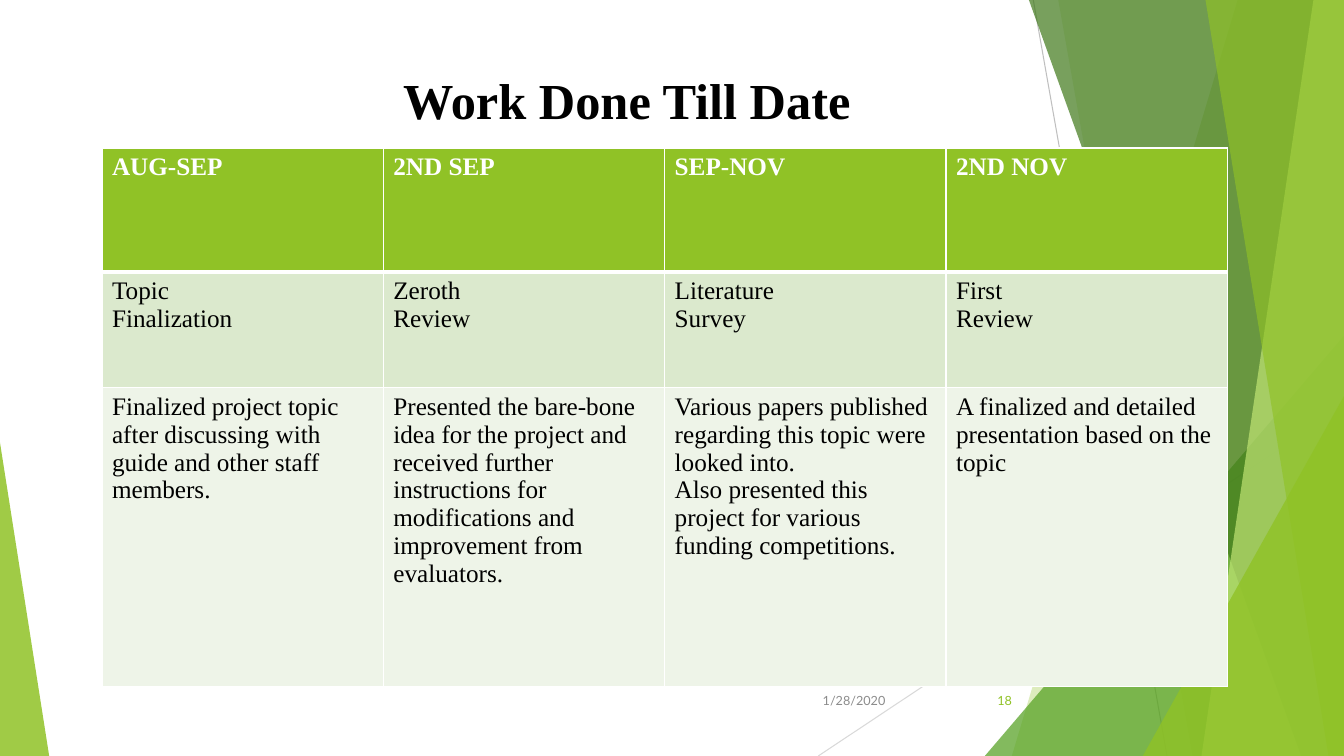
from lxml.etree import SubElement
from pptx import Presentation
from pptx.dml.color import RGBColor
from pptx.enum.shapes import MSO_CONNECTOR, MSO_SHAPE
from pptx.enum.text import MSO_ANCHOR, MSO_AUTO_SIZE, PP_ALIGN
from pptx.oxml import parse_xml
from pptx.oxml.ns import nsdecls, qn
from pptx.util import Cm, Pt

WHITE = RGBColor(0xFF, 0xFF, 0xFF)
BLACK = RGBColor(0x00, 0x00, 0x00)
GREY = RGBColor(0x8C, 0x8C, 0x8C)
MID_GREY = RGBColor(0xBF, 0xBF, 0xBF)
LIGHT_GREY = RGBColor(0xD9, 0xD9, 0xD9)
LIME = RGBColor(0x90, 0xC2, 0x26)
GREEN = RGBColor(0x54, 0xA0, 0x21)
DARK_GREEN = RGBColor(0x3F, 0x78, 0x19)
PALE_LIME = RGBColor(0xC0, 0xE4, 0x74)
BAND_DARK = RGBColor(0xDB, 0xE9, 0xCD)
BAND_LIGHT = RGBColor(0xEE, 0xF4, 0xE8)

WIDTH, HEIGHT = 33.87, 19.05
SERIF = "Times New Roman"
SANS = "Lato"

TABLE_TOP = 3.73
COLUMN_WIDTH = 7.09
ROW_HEIGHTS = [3.12, 2.92, 7.52]
TABLE_BOTTOM = TABLE_TOP + sum(ROW_HEIGHTS)
ROW_FILLS = [LIME, BAND_DARK, BAND_LIGHT]
WORK = [
    ["AUG-SEP", "2ND SEP", "SEP-NOV", "2ND NOV"],
    ["Topic\nFinalization", "Zeroth\nReview", "Literature\nSurvey", "First\nReview"],
    [
        "Finalized project topic after discussing with guide and other staff members.",
        "Presented the bare-bone idea for the project and received further "
        "instructions for modifications and improvement from evaluators.",
        "Various papers published regarding this topic were looked into.\n"
        "Also presented this project for various funding competitions.",
        "A finalized and detailed presentation based on the topic",
    ],
]


def paint(shape, color, opacity):
    """Fill a shape with a see-through colour and no outline."""
    shape.shadow.inherit = False
    shape.line.fill.background()
    shape.fill.solid()
    shape.fill.fore_color.rgb = color
    tint = shape.fill._xPr.find(qn("a:solidFill"))[0]
    SubElement(tint, qn("a:alpha")).set("val", str(opacity * 1000))


def add_facet(page, top_x, bottom_x, color, opacity):
    """Full-height band from a slanted left edge to the slide's right edge."""
    builder = page.shapes.build_freeform(Cm(top_x), 0)
    builder.add_line_segments(
        [(Cm(WIDTH), 0), (Cm(WIDTH), Cm(HEIGHT)), (Cm(bottom_x), Cm(HEIGHT))]
    )
    paint(builder.convert_to_shape(), color, opacity)


def add_corner(page, left, right, top, apex, color, opacity):
    """Triangle standing on the slide's bottom edge."""
    corner = page.shapes.add_shape(
        MSO_SHAPE.ISOSCELES_TRIANGLE,
        Cm(left), Cm(top), Cm(right - left), Cm(HEIGHT - top),
    )
    corner.adjustments[0] = apex
    paint(corner, color, opacity)


def add_hairline(page, start, end, color):
    line = page.shapes.add_connector(
        MSO_CONNECTOR.STRAIGHT, *[Cm(value) for value in start + end]
    )
    line.line.color.rgb = color
    line.line.width = Pt(0.75)
    SubElement(line._element.spPr, qn("a:effectLst"))


def format_text(frame, font_name, size, color, bold=False, align=PP_ALIGN.LEFT):
    for para in frame.paragraphs:
        para.alignment = align
        for span in para.runs:
            span.font.name = font_name
            span.font.size = Pt(size)
            span.font.bold = bold
            span.font.color.rgb = color


def add_footer(page, text, left, width, color):
    box = page.shapes.add_textbox(Cm(left), Cm(TABLE_BOTTOM), Cm(width), Cm(0.7))
    frame = box.text_frame
    frame.word_wrap = True
    frame.vertical_anchor = MSO_ANCHOR.MIDDLE
    frame.text = text
    format_text(frame, SANS, 9, color, align=PP_ALIGN.RIGHT)


def set_borders(cell, top, bottom):
    """White borders; top and bottom widths in points, sides one point."""
    widths = {"lnL": 1, "lnR": 1, "lnT": top, "lnB": bottom}
    properties = cell._tc.get_or_add_tcPr()
    for index, (side, width) in enumerate(widths.items()):
        properties.insert(index, parse_xml(
            f'<a:{side} {nsdecls("a")} w="{Pt(width)}"><a:solidFill>'
            f'<a:srgbClr val="{WHITE}"/></a:solidFill></a:{side}>'
        ))


def add_work_table(page):
    table = page.shapes.add_table(
        len(WORK), len(WORK[0]), Cm(2.57), Cm(TABLE_TOP),
        Cm(COLUMN_WIDTH * len(WORK[0])), Cm(sum(ROW_HEIGHTS)),
    ).table
    for column in table.columns:
        column.width = Cm(COLUMN_WIDTH)
    for row, texts in enumerate(WORK):
        table.rows[row].height = Cm(ROW_HEIGHTS[row])
        header = row == 0
        for column, text in enumerate(texts):
            cell = table.cell(row, column)
            cell.fill.solid()
            cell.fill.fore_color.rgb = ROW_FILLS[row]
            cell.text_frame.text = text
            format_text(cell.text_frame, SERIF, 18, WHITE if header else BLACK, header)
            set_borders(cell, 3 if row == 1 else 1, 3 if header else 1)


def set_title(page, text):
    title = page.shapes.title
    title.left, title.top, title.width, title.height = Cm(2.39), Cm(1.6), Cm(26.82), Cm(1.8)
    frame = title.text_frame
    frame.text = text
    frame.word_wrap = True
    frame.auto_size = MSO_AUTO_SIZE.NONE
    frame.vertical_anchor = MSO_ANCHOR.MIDDLE
    format_text(frame, SERIF, 36, BLACK, True, PP_ALIGN.CENTER)


def add_decoration(page):
    add_hairline(page, (26.04, 0), (29.41, HEIGHT), MID_GREY)
    add_hairline(page, (WIDTH, 10.24), (20.62, HEIGHT), LIGHT_GREY)
    add_facet(page, 31.19, 25.5, LIME, 30)
    add_facet(page, 26.67, 30.05, LIME, 20)
    add_corner(page, 24.82, WIDTH, 8.46, 1, GREEN, 72)
    add_facet(page, 25.93, 32.79, DARK_GREEN, 70)
    add_facet(page, 33.1, 30.28, PALE_LIME, 70)
    add_facet(page, 30.38, 33.48, LIME, 65)
    add_corner(page, 28.8, WIDTH, 9.98, 1, LIME, 80)
    add_corner(page, 0, 1.24, 11.15, 0, LIME, 85)


def main():
    deck = Presentation()
    deck.slide_width, deck.slide_height = Cm(WIDTH), Cm(HEIGHT)
    page = deck.slides.add_slide(deck.slide_layouts.get_by_name("Title Only"))

    # Background facets
    add_decoration(page)

    # Date and slide number, just below the table
    add_footer(page, "1/28/2020", 20.02, 2.54, GREY)
    add_footer(page, "18", 23.85, 1.9, LIME)

    # Content
    add_work_table(page)
    set_title(page, "Work Done Till Date")

    deck.save("out.pptx")


if __name__ == "__main__":
    main()
